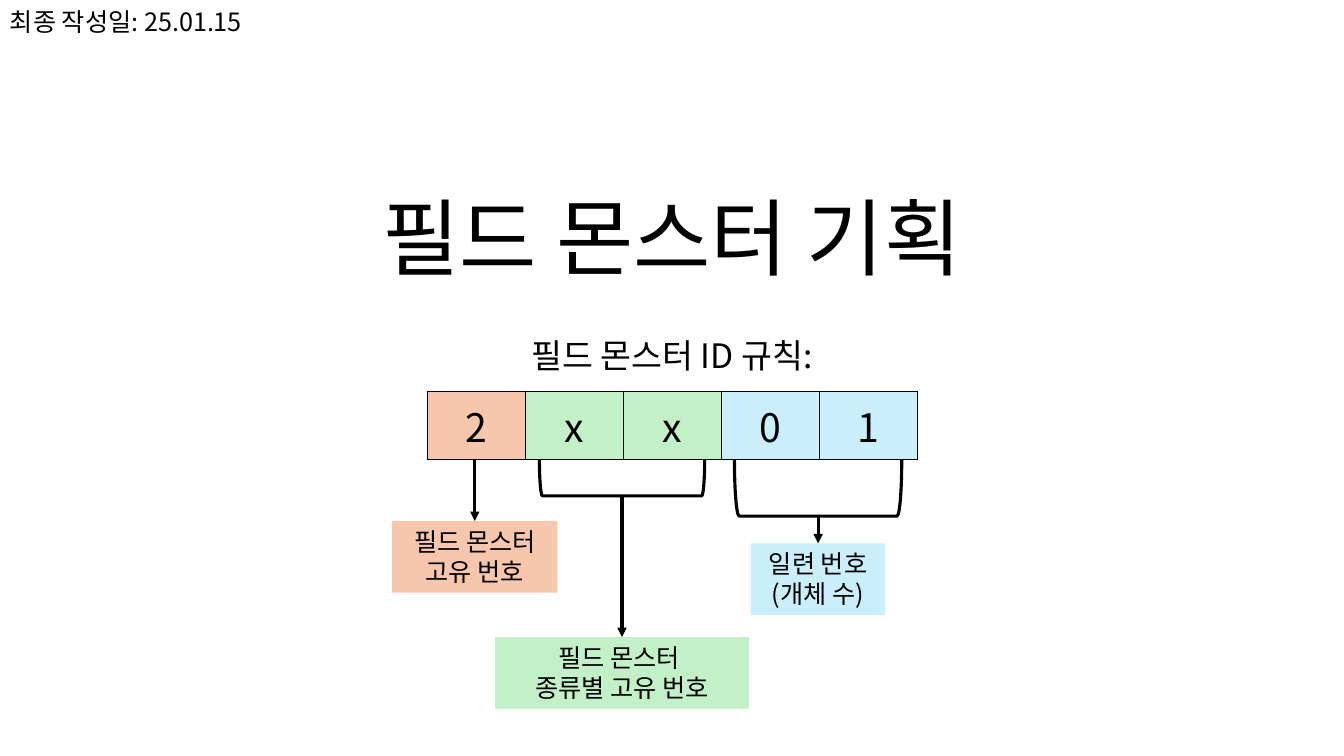
"""Build the field monster planning cover slide with its ID rule diagram."""
from dataclasses import dataclass

import pptx
import pptx.dml.color
import pptx.enum.shapes
import pptx.enum.text
import pptx.oxml
import pptx.oxml.ns
import pptx.util

FONT = "Noto Sans CJK KR"
COLOURS = {"ink": "000000", "monster": "F6C6AD", "kind": "C2F1C8", "serial": "CAEEFB"}
SLIDE_WIDTH = pptx.util.Inches(13.333)
SLIDE_HEIGHT = pptx.util.Inches(7.5)
GRID = 100
NAMESPACE = pptx.oxml.ns.nsdecls("a")
ALIGN = pptx.enum.text.PP_ALIGN
ANCHOR = pptx.enum.text.MSO_ANCHOR


@dataclass(frozen=True)
class Area:
    column: float
    row: float
    columns: float
    rows: float

    def lengths(self) -> tuple[int, int, int, int]:
        return across(self.column), down(self.row), across(self.columns), down(self.rows)


@dataclass(frozen=True)
class Caption:
    text: str
    area: Area
    size: float
    align: ALIGN = ALIGN.CENTER
    anchor: ANCHOR = ANCHOR.TOP
    line_spacing: float = 1.0
    space_before: float = 0
    bottom_rows: float = 0.67


@dataclass(frozen=True)
class Label:
    text: str
    colour: str
    area: Area
    bracket_columns: float = 0
    bracket_rows: float = 0


@dataclass(frozen=True)
class Digit:
    text: str
    colour: str


ID_TABLE = Area(31.83, 51.73, 36.45, 9.07)
DIGITS = [Digit("2", "monster"), Digit("x", "kind"), Digit("x", "kind"),
          Digit("0", "serial"), Digit("1", "serial")]
CAPTIONS = [
    Caption("필드 몬스터 기획", Area(12.5, 16.4, 75, 34.8), 60,
            anchor=ANCHOR.BOTTOM, line_spacing=0.9, bottom_rows=13.2),
    Caption("필드 몬스터 ID 규칙:", Area(12.5, 44.27, 75, 24.13), 24,
            line_spacing=0.9, space_before=10),
    Caption("최종 작성일: 25.01.15", Area(0, 0.13, 20.33, 5.33), 18, align=ALIGN.LEFT),
]
LABELS = [
    Label("일련 번호\n(개체 수)", "serial", Area(55.88, 71.87, 9.98, 9.47), 12.45, 7.47),
    Label("필드 몬스터 \n종류별 고유 번호", "kind", Area(36.83, 84.27, 18.9, 9.47), 12.3, 4.8),
    Label("필드 몬스터\n고유 번호", "monster", Area(29.18, 68.93, 12.3, 9.47)),
]


def across(columns: float) -> int:
    return round(SLIDE_WIDTH * columns / GRID)


def down(rows: float) -> int:
    return round(SLIDE_HEIGHT * rows / GRID)


def colour(name: str) -> pptx.dml.color.RGBColor:
    return pptx.dml.color.RGBColor.from_string(COLOURS[name])


def write(text_frame, text: str, size: float, align: ALIGN = ALIGN.CENTER) -> None:
    text_frame.text = text
    for para in text_frame.paragraphs:
        para.alignment = align
        for span in para.runs:
            span.font.size = pptx.util.Pt(size)
            span.font.name = FONT
            span.font.color.rgb = colour("ink")
            east_asian = pptx.oxml.parse_xml(f'<a:ea {NAMESPACE} typeface="{FONT}"/>')
            span.font._element.find(pptx.oxml.ns.qn("a:latin")).addnext(east_asian)


def draw_caption(page, caption: Caption) -> None:
    box = page.shapes.add_textbox(*caption.area.lengths())
    frame = box.text_frame
    frame.word_wrap = True
    frame.vertical_anchor = caption.anchor
    frame.margin_bottom = down(caption.bottom_rows)
    write(frame, caption.text, caption.size, caption.align)
    for para in frame.paragraphs:
        para.line_spacing = caption.line_spacing
        para.space_before = pptx.util.Pt(caption.space_before)


def draw_label(page, label: Label) -> None:
    kinds = pptx.enum.shapes.MSO_SHAPE
    box = page.shapes.add_shape(kinds.RECTANGLE, *label.area.lengths())
    box.shadow.inherit = False
    box.fill.solid()
    box.fill.fore_color.rgb = colour(label.colour)
    box.line.fill.background()
    box.text_frame.word_wrap = True
    box.text_frame.vertical_anchor = ANCHOR.TOP
    write(box.text_frame, label.text, 18)

    middle = box.left + box.width // 2
    table_bottom = down(ID_TABLE.row + ID_TABLE.rows)
    depth = down(label.bracket_rows)
    if depth:
        breadth = across(label.bracket_columns)
        bracket = page.shapes.add_shape(
            kinds.RIGHT_BRACKET, middle - depth // 2,
            table_bottom + (depth - breadth) // 2, depth, breadth)
        bracket.rotation = 90
        bracket.shadow.inherit = False
        bracket.fill.background()
        bracket.line.color.rgb = colour("ink")
        bracket.line.width = pptx.util.Pt(2.25)

    arrow = page.shapes.add_connector(
        pptx.enum.shapes.MSO_CONNECTOR.STRAIGHT,
        middle, table_bottom + depth, middle, box.top)
    arrow.end_connect(box, 0)
    arrow.line.color.rgb = colour("ink")
    arrow.line.width = pptx.util.Pt(2.25)
    arrow.line._get_or_add_ln().append(
        pptx.oxml.parse_xml(f'<a:tailEnd {NAMESPACE} type="triangle"/>'))
    arrow._element.spPr.append(pptx.oxml.parse_xml(f"<a:effectLst {NAMESPACE}/>"))


def draw_id_table(page, digits: list[Digit]) -> None:
    table = page.shapes.add_table(1, len(digits), *ID_TABLE.lengths()).table
    table.first_row = False
    table.horz_banding = False
    for index, digit in enumerate(digits):
        cell = table.cell(0, index)
        cell.vertical_anchor = ANCHOR.MIDDLE
        write(cell.text_frame, digit.text, 28)
        properties = cell._tc.get_or_add_tcPr()
        for side in ("lnL", "lnR", "lnT", "lnB"):
            properties.append(pptx.oxml.parse_xml(
                f'<a:{side} {NAMESPACE} w="{pptx.util.Pt(1)}"><a:solidFill>'
                f'<a:srgbClr val="{COLOURS["ink"]}"/></a:solidFill></a:{side}>'))
        cell.fill.solid()
        cell.fill.fore_color.rgb = colour(digit.colour)


def main() -> None:
    deck = pptx.Presentation()
    deck.slide_width = SLIDE_WIDTH
    deck.slide_height = SLIDE_HEIGHT
    page = deck.slides.add_slide(deck.slide_layouts[6])
    for caption in CAPTIONS:
        draw_caption(page, caption)
    for label in LABELS:
        draw_label(page, label)
    draw_id_table(page, DIGITS)
    deck.save("out.pptx")


if __name__ == "__main__":
    main()
